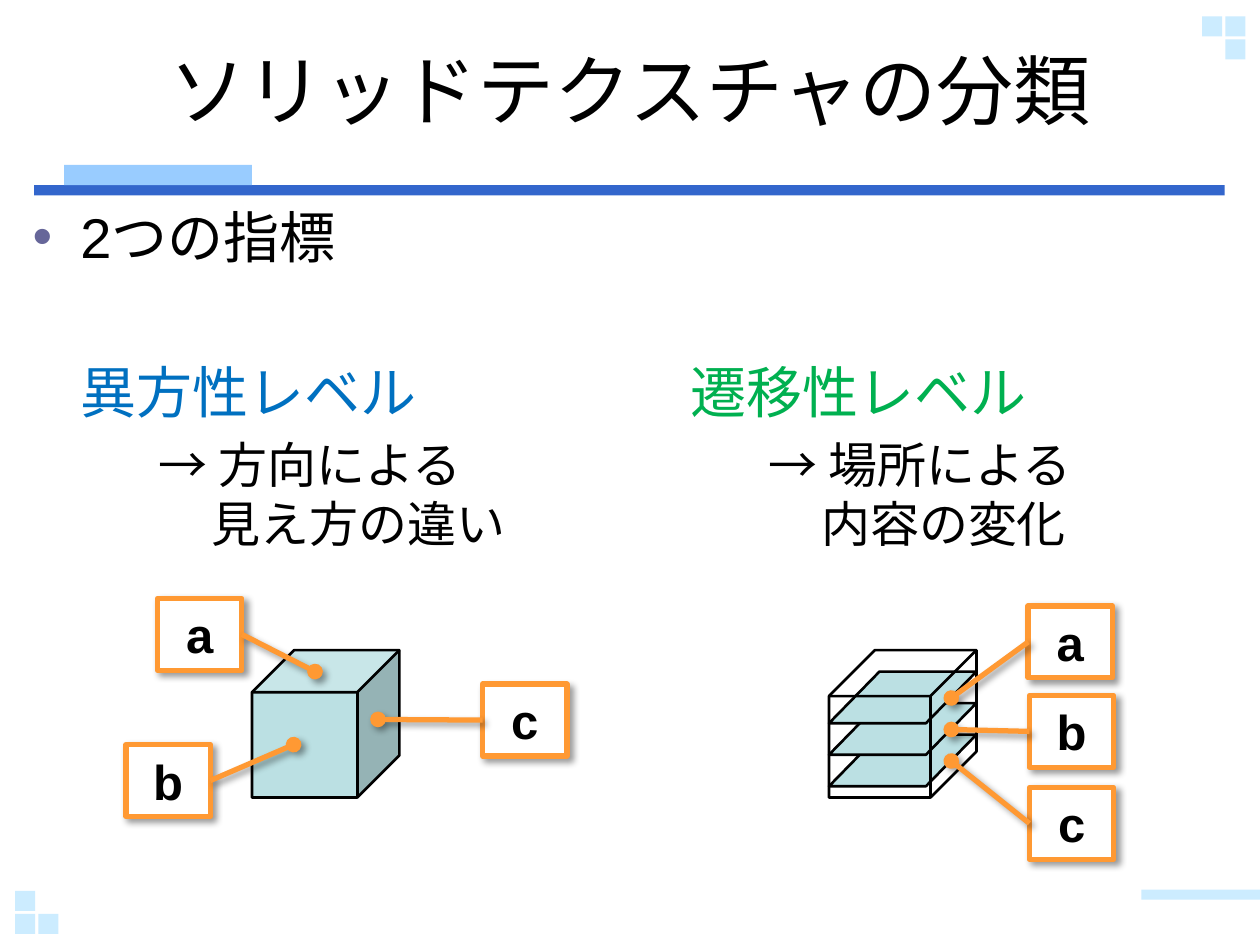
import pptx
import pptx.util
import pptx.dml.color
import pptx.enum.dml
import pptx.enum.lang
import pptx.enum.shapes
import pptx.enum.text
import pptx.oxml
import pptx.oxml.ns
from lxml import etree

RGB = pptx.dml.color.RGBColor
SHAPE = pptx.enum.shapes.MSO_SHAPE
ALIGN = pptx.enum.text.PP_ALIGN
ANCHOR = pptx.enum.text.MSO_ANCHOR
qn = pptx.oxml.ns.qn

BLACK = RGB(0x00, 0x00, 0x00)
WHITE = RGB(0xFF, 0xFF, 0xFF)
RULE = RGB(0x33, 0x66, 0xCC)
TAB = RGB(0x99, 0xCC, 0xFF)
PALE = RGB(0xCC, 0xEC, 0xFF)
BULLET = RGB(0x66, 0x66, 0x99)
BLUE = RGB(0x00, 0x70, 0xC0)
GREEN = RGB(0x00, 0xB0, 0x50)
TEAL = RGB(0xBB, 0xE0, 0xE3)
ORANGE = RGB(0xFF, 0x99, 0x33)

WIDTH, HEIGHT = pptx.util.Inches(10), pptx.util.Inches(7.5)
COL, ROW = WIDTH / 100, HEIGHT / 75
TOP, LEFT, RIGHT = 0, 1, 3
LABEL_W, LABEL_H = 6.7, 5.7


def cells(x, y, w, h):
    return round(x * COL), round(y * ROW), round(w * COL), round(h * ROW)


def add_block(s, kind, box, fill=None, line=None, weight=1.5, adj=None):
    sp = s.shapes.add_shape(kind, *cells(*box))
    sp.shadow.inherit = False
    if adj is not None:
        sp.adjustments[0] = adj
    if fill is None:
        sp.fill.background()
    else:
        sp.fill.solid()
        sp.fill.fore_color.rgb = fill
    if line is None:
        sp.line.fill.background()
    else:
        sp.line.color.rgb = line
        sp.line.width = pptx.util.Pt(weight)
    return sp


def add_shadow(effects):
    shadow = etree.SubElement(
        effects, qn("a:outerShdw"), blurRad=str(pptx.util.Pt(4)),
        dist=str(pptx.util.Pt(3)), dir="2700000", algn="tl", rotWithShape="0")
    color = etree.SubElement(shadow, qn("a:srgbClr"), val=str(BLACK))
    etree.SubElement(color, qn("a:alpha"), val="40000")


def format_paragraph(p, size, color, bold=False, align=ALIGN.LEFT):
    p.alignment = align
    for r in p.runs:
        r.font.name = "Arial"
        r.font.size = pptx.util.Pt(size)
        r.font.bold = bold
        r.font.color.rgb = color
        r.font.language_id = pptx.enum.lang.MSO_LANGUAGE_ID.JAPANESE


def set_indent(p, margin, indent):
    pPr = p._p.get_or_add_pPr()
    pPr.set("marL", str(round(margin * COL)))
    pPr.set("indent", str(round(indent * COL)))
    return pPr


def add_text(s, box):
    tf = s.shapes.add_textbox(*cells(*box)).text_frame
    tf.word_wrap = True
    return tf


def add_title(s, text):
    sp = s.shapes.title
    sp.left, sp.top, sp.width, sp.height = cells(1.6, 0.8, 96.9, 12.5)
    tf = sp.text_frame
    tf.text = text
    tf.vertical_anchor = ANCHOR.MIDDLE
    format_paragraph(tf.paragraphs[0], 44, BLACK, align=ALIGN.CENTER)


def add_bullet(s, text):
    p = add_text(s, (1.6, 15.6, 96.9, 7)).paragraphs[0]
    pPr = set_indent(p, 3.8, -3.8)
    color = etree.SubElement(pPr, qn("a:buClr"))
    etree.SubElement(color, qn("a:srgbClr"), val=str(BULLET))
    etree.SubElement(pPr, qn("a:buFont"), typeface="Arial")
    etree.SubElement(pPr, qn("a:buChar"), char="•")
    p.text = text
    format_paragraph(p, 32, BLACK)


def add_index(s, x, heading, color, meaning):
    tf = add_text(s, (x, 27.9, 46, 17))
    p = tf.paragraphs[0]
    set_indent(p, 3.8, 0)
    p.text = heading
    format_paragraph(p, 32, color)
    p = tf.add_paragraph()
    set_indent(p, 14.2, -4.2)
    p.space_before = pptx.util.Pt(5.6)
    p.text = meaning
    format_paragraph(p, 28, BLACK)


def add_label(s, text, x, y, side, target):
    sp = add_block(s, SHAPE.RECTANGLE, (x, y, LABEL_W, LABEL_H), WHITE, ORANGE, 3)
    add_shadow(sp._element.spPr.find(qn("a:effectLst")))
    tf = sp.text_frame
    tf.text = text
    tf.vertical_anchor = ANCHOR.MIDDLE
    format_paragraph(tf.paragraphs[0], 28, BLACK, True, ALIGN.CENTER)

    end_x, end_y = round(target[0] * COL), round(target[1] * ROW)
    line = s.shapes.add_connector(
        pptx.enum.shapes.MSO_CONNECTOR.STRAIGHT, 0, 0, end_x, end_y)
    line.begin_connect(sp, side)
    line.line.color.rgb = ORANGE
    line.line.width = pptx.util.Pt(3)
    etree.SubElement(line.line._get_or_add_ln(), qn("a:tailEnd"), type="oval")
    add_shadow(etree.SubElement(line._element.spPr, qn("a:effectLst")))


def add_decoration(s):
    bars = [((2.7, 14.7, 94.5, 0.8), RULE), ((5.1, 13.1, 14.9, 1.6), TAB),
            ((90.6, 70.6, 9.4, 0.8), PALE)]
    for box, color in bars:
        add_block(s, SHAPE.RECTANGLE, box, color)
    corners = [(95.4, 1.3, [(0, 0), (1, 0), (1, 1)]),
               (1.2, 70.7, [(0, 0), (0, 1), (1, 1)])]
    for x, y, squares in corners:
        for i, j in squares:
            add_block(s, SHAPE.RECTANGLE, (x + 1.85 * i, y + 1.83 * j, 1.6, 1.6), PALE)


def add_anisotropy_cube(s):
    add_block(s, SHAPE.CUBE, (20, 51.6, 11.7, 11.7), TEAL, BLACK, adj=0.286)
    add_label(s, "a", 12.5, 47.5, RIGHT, (25, 53.3))
    add_label(s, "b", 10, 59.1, RIGHT, (23.3, 59.1))
    add_label(s, "c", 38.3, 54.3, LEFT, (30, 57.1))


def add_transition_cube(s):
    for i in reversed(range(3)):
        add_block(s, SHAPE.PARALLELOGRAM, (65.8, 53.3 + 2.5 * i, 11.7, 4.1),
                  TEAL, BLACK, adj=0.977)
    add_block(s, SHAPE.CUBE, (65.8, 51.6, 11.7, 11.7), None, BLACK, adj=0.312)
    labels = [("a", 81.6, 48.1), ("b", 81.7, 55.2), ("c", 81.7, 62.5)]
    for i, (text, x, y) in enumerate(labels):
        add_label(s, text, x, y, LEFT, (75.5, 55.4 + 2.5 * i))


def main():
    prs = pptx.Presentation()
    prs.slide_width, prs.slide_height = WIDTH, HEIGHT
    s = prs.slides.add_slide(prs.slide_layouts[5])
    add_decoration(s)
    add_title(s, "ソリッドテクスチャの分類")
    add_bullet(s, "2つの指標")
    add_index(s, 1.6, "異方性レベル", BLUE, "→ 方向による\v見え方の違い")
    add_index(s, 50, "遷移性レベル", GREEN, "→ 場所による\v内容の変化")
    add_anisotropy_cube(s)
    add_transition_cube(s)
    prs.save("out.pptx")


if __name__ == "__main__":
    main()
